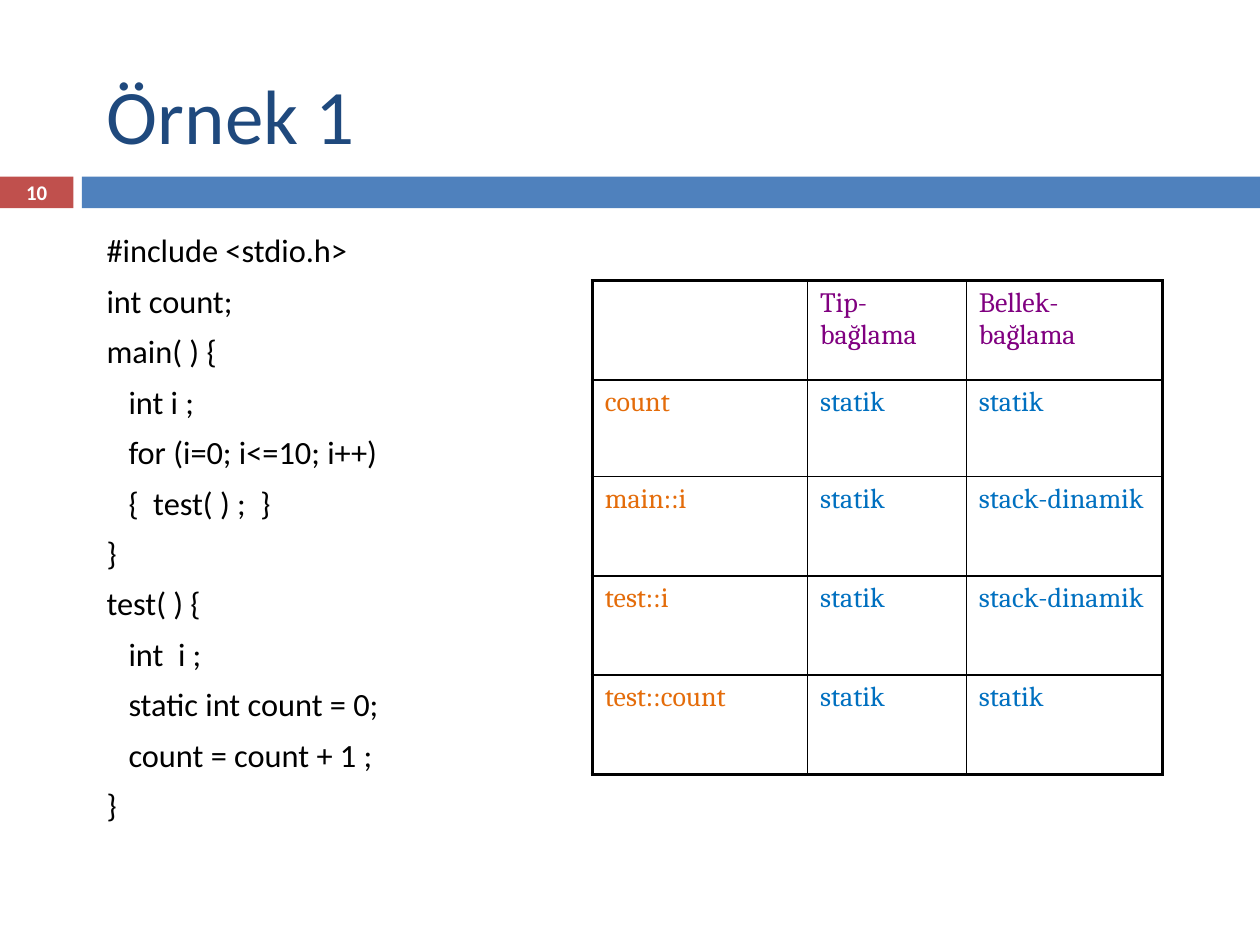
from dataclasses import dataclass

from lxml.etree import SubElement
from pptx import Presentation
from pptx.dml.color import RGBColor
from pptx.enum.shapes import MSO_SHAPE
from pptx.enum.text import MSO_ANCHOR, PP_ALIGN
from pptx.oxml.ns import qn
from pptx.util import Cm, Pt


@dataclass(frozen=True)
class Theme:
    title_color: str = "1F497D"
    code_color: str = "000000"
    header_color: str = "800080"
    variable_color: str = "E46C0A"
    binding_color: str = "0070C0"
    number_color: str = "FFFFFF"
    number_bar: str = "C0504D"
    title_bar: str = "4F81BD"
    border: str = "000000"
    body_font: str = "Calibri"
    table_font: str = "Cambria"
    title_size: float = 44
    code_size: float = 18.5
    table_size: float = 16
    number_size: float = 11.9
    inner_border: float = 1
    outer_border: float = 2.25


theme = Theme()


def format_font(paragraph, name, size, color, bold=False):
    paragraph.font.name = name
    paragraph.font.size = Pt(size)
    paragraph.font.bold = bold
    paragraph.font.color.rgb = RGBColor.from_string(color)


def set_borders(cell, outer_sides):
    properties = cell._tc.get_or_add_tcPr()
    for position, side in enumerate("LRTB"):
        width = theme.outer_border if side in outer_sides else theme.inner_border
        line = SubElement(properties, qn(f"a:ln{side}"), w=str(Pt(width)))
        fill = SubElement(line, qn("a:solidFill"))
        SubElement(fill, qn("a:srgbClr"), val=theme.border)
        properties.insert(position, line)


presentation = Presentation()
presentation.slide_width = Cm(25.4)
presentation.slide_height = Cm(19.05)
slide = presentation.slides.add_slide(presentation.slide_layouts[5])

for left, width, color in [(0, 1.48, theme.number_bar), (1.65, 23.75, theme.title_bar)]:
    bar = slide.shapes.add_shape(MSO_SHAPE.RECTANGLE, Cm(left), Cm(3.56), Cm(width), Cm(0.64))
    bar.shadow.inherit = False
    bar.fill.solid()
    bar.fill.fore_color.rgb = RGBColor.from_string(color)
    bar.line.fill.background()

title = slide.shapes.title
title.left, title.top, title.width, title.height = Cm(1.9), Cm(0.71), Cm(21.59), Cm(3.18)
title.text_frame.text = "Örnek 1"
title.text_frame.vertical_anchor = MSO_ANCHOR.MIDDLE
title_paragraph = title.text_frame.paragraphs[0]
title_paragraph.alignment = PP_ALIGN.LEFT
format_font(title_paragraph, theme.body_font, theme.title_size, theme.title_color)

number_box = slide.shapes.add_textbox(Cm(0), Cm(3.53), Cm(1.48), Cm(0.69))
number_frame = number_box.text_frame
number_frame.word_wrap = True
number_frame.vertical_anchor = MSO_ANCHOR.MIDDLE
number_frame.margin_left = number_frame.margin_right = 0
number_frame.margin_top = number_frame.margin_bottom = 0
number_frame.text = "10"
number_frame.paragraphs[0].alignment = PP_ALIGN.CENTER
format_font(number_frame.paragraphs[0], theme.body_font, theme.number_size, theme.number_color, True)

code = """#include <stdio.h>
int count;
main( ) {
   int i ;
   for (i=0; i<=10; i++)
   {  test( ) ;  }
}
test( ) {
   int  i ;
   static int count = 0;
   count = count + 1 ;
}"""
code_box = slide.shapes.add_textbox(Cm(1.9), Cm(4.52), Cm(10.6), Cm(11.43))
code_frame = code_box.text_frame
code_frame.word_wrap = True
code_frame.text = code
for index, paragraph in enumerate(code_frame.paragraphs):
    if index:
        paragraph.space_before = Pt(6.6)
    format_font(paragraph, theme.body_font, theme.code_size, theme.code_color)

bindings = [
    ("", "Tip-bağlama", "Bellek-bağlama"),
    ("count", "statik", "statik"),
    ("main::i", "statik", "stack-dinamik"),
    ("test::i", "statik", "stack-dinamik"),
    ("test::count", "statik", "statik"),
]
column_widths = [4.34, 3.2, 3.96]
row_heights = [2, 1.95, 2, 2, 2]
table = slide.shapes.add_table(
    len(row_heights), len(column_widths),
    Cm(11.94), Cm(5.66), Cm(sum(column_widths)), Cm(sum(row_heights)),
).table
table.first_row = False
table.horz_banding = False
for column, width in zip(table.columns, column_widths):
    column.width = Cm(width)

last_row, last_column = len(row_heights) - 1, len(column_widths) - 1
for row_index, (values, height) in enumerate(zip(bindings, row_heights)):
    table.rows[row_index].height = Cm(height)
    for column_index, value in enumerate(values):
        cell = table.cell(row_index, column_index)
        cell.fill.background()
        cell.text = value
        if row_index == 0:
            color = theme.header_color
        elif column_index == 0:
            color = theme.variable_color
        else:
            color = theme.binding_color
        format_font(cell.text_frame.paragraphs[0], theme.table_font, theme.table_size, color)
        edges = {
            "L": column_index == 0,
            "R": column_index == last_column,
            "T": row_index == 0,
            "B": row_index == last_row,
        }
        set_borders(cell, [side for side, is_outer in edges.items() if is_outer])

presentation.save("out.pptx")
